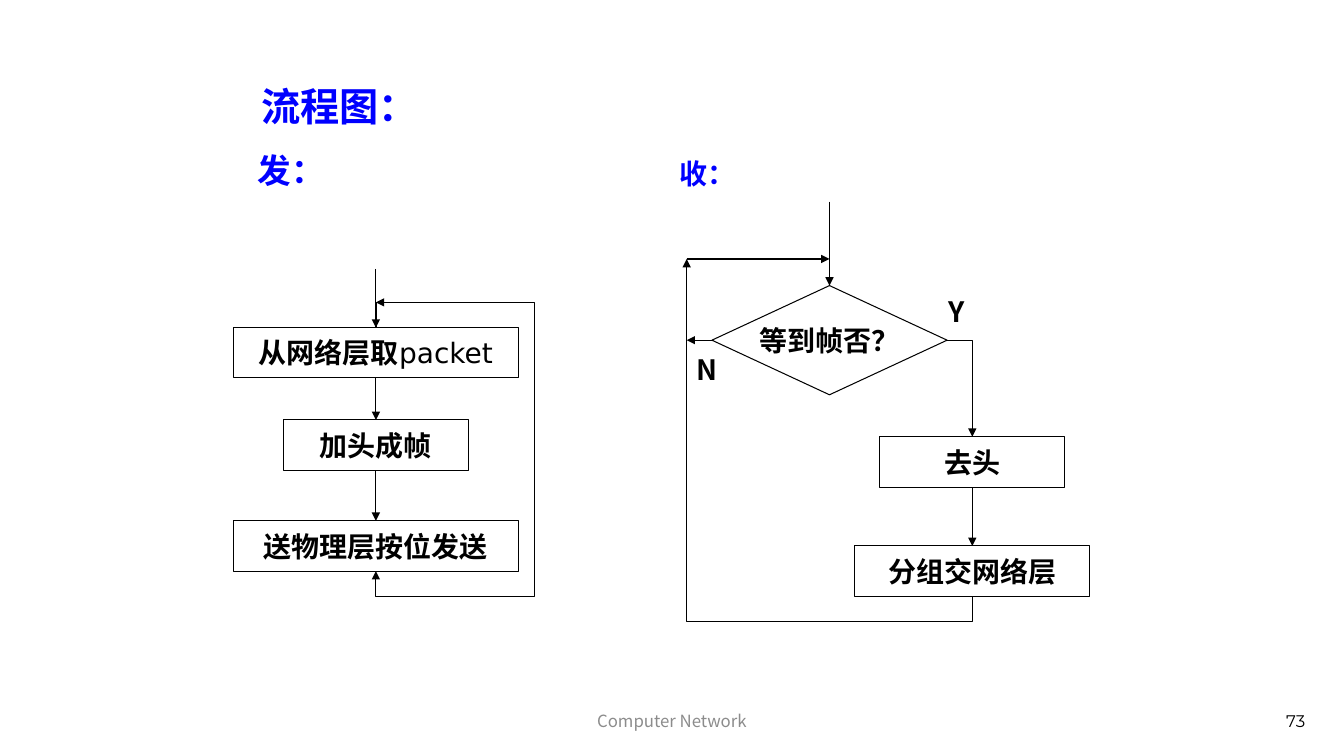
"""Build the send and receive flowchart slide."""
import dataclasses

import lxml.etree
import pptx
import pptx.dml.color
import pptx.enum.shapes
import pptx.enum.text
import pptx.oxml.ns
import pptx.util

Pt = pptx.util.Pt
qn = pptx.oxml.ns.qn
Align = pptx.enum.text.PP_ALIGN
Anchor = pptx.enum.text.MSO_ANCHOR
Preset = pptx.enum.shapes.MSO_SHAPE
Link = pptx.enum.shapes.MSO_CONNECTOR
TOP, LEFT, BOTTOM = 0, 1, 2


@dataclasses.dataclass(frozen=True)
class Theme:
    """Hold the colours, fonts and sizes of the slide."""
    ink: str = "000000"
    accent: str = "0000FF"
    muted: str = "8C8C8C"
    cjk: str = "Noto Sans CJK SC"
    title_font: str = "Arial"
    latin_font: str = "DejaVu Sans"
    number_font: str = "Montserrat"
    title: int = 28
    heading: int = 24
    body: int = 20
    footer: int = 12
    line: float = 0.75


THEME = Theme()


def apply(target, values):
    """Set each named attribute on the target."""
    for name, value in values.items():
        setattr(target, name, value)


def rgb(value):
    """Turn a hexadecimal string into a colour."""
    return pptx.dml.color.RGBColor.from_string(value)


def write(box, spans, align=Align.LEFT, anchor=Anchor.TOP, wrap=False,
          font=THEME.cjk, size=THEME.body, color=THEME.ink, inset=None):
    """Fill a shape with one paragraph of (text, bold) spans."""
    frame = box.text_frame
    apply(frame, {"word_wrap": wrap, "vertical_anchor": anchor})
    if inset is not None:
        sides = ("left", "top", "right", "bottom")
        apply(frame, {f"margin_{side}": Pt(inset) for side in sides})
    para = frame.paragraphs[0]
    para.alignment = align
    for text, bold in spans:
        span = para.add_run()
        span.text = text
        apply(span.font, {"name": font, "size": Pt(size), "bold": bold})
        span.font.color.rgb = rgb(color)
        east = lxml.etree.SubElement(span.font._element, qn("a:ea"))
        east.set("typeface", THEME.cjk)


def label(page, text, left, top, width, height, bold=True, **style):
    """Add a text box."""
    box = page.shapes.add_textbox(Pt(left), Pt(top), Pt(width), Pt(height))
    write(box, [(text, bold)], **style)


def node(page, spans, center, top, width, height=36,
         preset=Preset.FLOWCHART_PROCESS, font=THEME.cjk):
    """Add an outlined flowchart step centred on an axis."""
    box = page.shapes.add_shape(preset, Pt(center - width / 2), Pt(top),
                                Pt(width), Pt(height))
    box.shadow.inherit = False
    box.fill.background()
    box.line.color.rgb = rgb(THEME.ink)
    box.line.width = Pt(THEME.line)
    write(box, spans, Align.CENTER, Anchor.MIDDLE, font=font)
    return box


def connect(page, kind, start, end, arrow="a:tailEnd"):
    """Add a thin connector with one arrowhead."""
    line = page.shapes.add_connector(kind, *map(Pt, (*start, *end)))
    line.line.color.rgb = rgb(THEME.ink)
    line.line.width = Pt(THEME.line)
    head = lxml.etree.SubElement(line.line._get_or_add_ln(), qn(arrow))
    head.set("type", "triangle")
    lxml.etree.SubElement(line._element.spPr, qn("a:effectLst"))
    return line


def arrow(page, start, end, source=None, target=None):
    """Add a straight arrow, joined to (shape, site) pairs if given."""
    line = connect(page, Link.STRAIGHT, start, end)
    if source:
        line.begin_connect(*source)
    if target:
        line.end_connect(*target)


def elbow(page, preset, start, end, adjust=(), flips=(), turned=False,
          head="a:tailEnd"):
    """Add a bent arrow, optionally turned by a quarter."""
    line = connect(page, Link.ELBOW, start, end, head)
    width, height = abs(end[0] - start[0]), abs(end[1] - start[1])
    if turned:
        width, height = height, width
    apply(line, {"left": Pt((start[0] + end[0] - width) / 2),
                 "top": Pt((start[1] + end[1] - height) / 2),
                 "width": Pt(width), "height": Pt(height)})
    frame = line._element.spPr.find(qn("a:xfrm"))
    for name in ("flipH", "flipV"):
        frame.set(name, "1" if name in flips else "0")
    if turned:
        frame.set("rot", "5400000")
    shape = line._element.spPr.find(qn("a:prstGeom"))
    shape.set("prst", preset)
    guides = shape.get_or_add_avLst()
    for index, value in enumerate(adjust, 1):
        guide = lxml.etree.SubElement(guides, qn("a:gd"))
        guide.set("name", f"adj{index}")
        guide.set("fmla", f"val {round(value * 100000)}")


def sender(page):
    """Draw the sending loop."""
    axis, entry, gap, loop, thin = 268.5, 216, 18, 120, 0.12
    label(page, "发：", 177, 103.5, 63, 36, size=THEME.heading,
          color=THEME.accent)
    fetch = node(page, [("从网络层取", True), ("packet", False)],
                 axis, 234, 204, font=THEME.latin_font)
    frame = node(page, [("加头成帧", True)], axis, 300, 132)
    send = node(page, [("送物理层按位发送", True)], axis, 372, 204)
    arrow(page, (axis, 192), (axis, 234), target=(fetch, TOP))
    for above, below in ((fetch, frame), (frame, send)):
        arrow(page, (axis, 0), (axis, 0), (above, BOTTOM), (below, TOP))
    reach = gap / (408 - 234)
    elbow(page, "bentConnector5", (axis, 408), (axis + thin, 234),
          (-reach, loop / thin, 1 + reach), ("flipH", "flipV"), True,
          "a:headEnd")
    arrow(page, (axis + 36, entry), (axis, entry))


def receiver(page):
    """Draw the receiving loop."""
    axis, branch, back, entry, middle = 592.5, 694.5, 490.5, 185, 243
    wait = node(page, [("等到帧否？", True)], axis, 204, 168, 78,
                Preset.FLOWCHART_DECISION)
    strip = node(page, [("去头", True)], branch, 312, 132)
    deliver = node(page, [("分组交网络层", True)], branch, 390, 168)
    elbow(page, "bentConnector2", (axis + 84, middle), (branch, 312))
    elbow(page, "bentConnector3", (branch, 426), (back, entry),
          (-18 / (426 - entry),), ("flipH",), True)
    arrow(page, (axis, 144), (axis, 204), target=(wait, TOP))
    arrow(page, (axis - 84, middle), (back, middle), source=(wait, LEFT))
    arrow(page, (branch, 348), (branch, 390), (strip, BOTTOM), (deliver, TOP))
    arrow(page, (back, entry), (axis, entry))
    label(page, "收：", 478, 108, 55, 31, color=THEME.accent)
    label(page, "Y", 670.5, 206.5, 27, 32)
    label(page, "N", 490.5, 248.5, 32, 32)


def main():
    """Build and save the slide."""
    deck = pptx.Presentation()
    apply(deck, {"slide_width": Pt(960), "slide_height": Pt(540)})
    page = deck.slides.add_slide(deck.slide_layouts[6])
    footer = {"bold": False, "anchor": Anchor.MIDDLE, "wrap": True,
              "size": THEME.footer}
    label(page, "Computer Network", 318, 500.5, 324, 28.75,
          align=Align.CENTER, color=THEME.muted, **footer)
    label(page, "73", 678, 500.5, 261.5, 28.75, align=Align.RIGHT,
          font=THEME.number_font, **footer)
    label(page, "流程图：", 186.5, 59, 186, 34, wrap=True, inset=0,
          font=THEME.title_font, size=THEME.title, color=THEME.accent)
    sender(page)
    receiver(page)
    deck.save("out.pptx")


if __name__ == "__main__":
    main()
